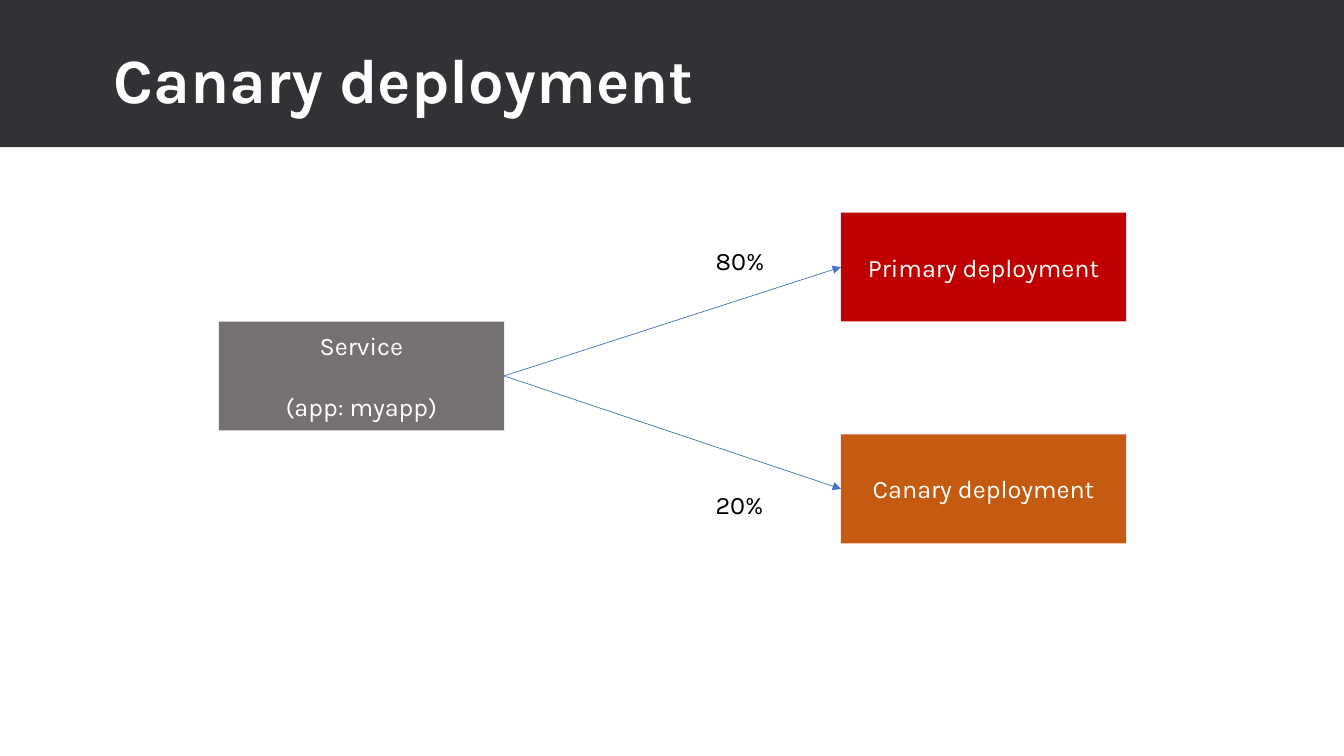
from dataclasses import dataclass

from lxml import etree
from pptx import Presentation
from pptx.dml.color import RGBColor
from pptx.enum.shapes import MSO_CONNECTOR, MSO_SHAPE
from pptx.enum.text import MSO_ANCHOR, PP_ALIGN
from pptx.oxml.ns import qn
from pptx.shapes.autoshape import Shape
from pptx.slide import Slide
from pptx.text.text import TextFrame
from pptx.util import Emu, Inches, Pt

RECTANGLE = MSO_SHAPE.RECTANGLE
STRAIGHT = MSO_CONNECTOR.STRAIGHT
MIDDLE, TOP = MSO_ANCHOR.MIDDLE, MSO_ANCHOR.TOP
CENTER, LEFT = PP_ALIGN.CENTER, PP_ALIGN.LEFT

FONT = "Karla"
WHITE = RGBColor(0xFF, 0xFF, 0xFF)
BLACK = RGBColor(0x00, 0x00, 0x00)
CHARCOAL = RGBColor(0x31, 0x32, 0x35)
GRAY = RGBColor(0x76, 0x71, 0x71)
RED = RGBColor(0xC0, 0x00, 0x00)
ORANGE = RGBColor(0xC5, 0x5A, 0x11)
BLUE = RGBColor(0x44, 0x72, 0xC4)

SLIDE_WIDTH, SLIDE_HEIGHT = Inches(13.33), Inches(7.5)
LEFT_SITE, RIGHT_SITE = 1, 3

# Areas are percentages of the slide's width and height.
NODE_WIDTH, NODE_HEIGHT = 21.23, 14.4
DEPLOYMENT_LEFT = 62.57
LABEL_LEFT, LABEL_WIDTH, LABEL_HEIGHT = 52.51, 6.6, 5.33


@dataclass(frozen=True)
class Area:
    left: float
    top: float
    width: float
    height: float

    def to_emu(self) -> tuple[Emu, Emu, Emu, Emu]:
        return (
            Emu(round(SLIDE_WIDTH * self.left / 100)),
            Emu(round(SLIDE_HEIGHT * self.top / 100)),
            Emu(round(SLIDE_WIDTH * self.width / 100)),
            Emu(round(SLIDE_HEIGHT * self.height / 100)),
        )


@dataclass(frozen=True)
class Node:
    text: str
    left: float
    top: float
    color: RGBColor


@dataclass(frozen=True)
class Route:
    target: Node
    share: str
    label_top: float


SERVICE = Node("Service\n(app: myapp)", 16.28, 42.53, GRAY)
ROUTES = (
    Route(Node("Primary deployment", DEPLOYMENT_LEFT, 28.13, RED), "80%", 31.73),
    Route(Node("Canary deployment", DEPLOYMENT_LEFT, 57.47, ORANGE), "20%", 64.13),
)


def write_text(frame: TextFrame, text: str, color: RGBColor, size: float = 18,
               bold: bool = False, align: PP_ALIGN = LEFT,
               anchor: MSO_ANCHOR = TOP) -> None:
    frame.word_wrap = True
    frame.vertical_anchor = anchor
    frame.text = text
    for index, paragraph in enumerate(frame.paragraphs):
        paragraph.alignment = align
        if index:
            paragraph.space_before = Pt(22)
        for run in paragraph.runs:
            run.font.name = FONT
            run.font.size = Pt(size)
            run.font.bold = bold
            run.font.color.rgb = color


def add_rectangle(slide: Slide, area: Area, color: RGBColor) -> Shape:
    shape = slide.shapes.add_shape(RECTANGLE, *area.to_emu())
    shape.shadow.inherit = False
    shape.fill.solid()
    shape.fill.fore_color.rgb = color
    shape.line.fill.background()
    return shape


def add_title(slide: Slide, text: str) -> None:
    add_rectangle(slide, Area(0, 0, 100, 19.47), CHARCOAL)
    box = slide.shapes.add_textbox(*Area(7.73, 1.33, 84.62, 19.33).to_emu())
    write_text(box.text_frame, text, WHITE, size=45, bold=True, anchor=MIDDLE)
    box.text_frame.paragraphs[0].line_spacing = 0.9


def add_node(slide: Slide, node: Node) -> Shape:
    area = Area(node.left, node.top, NODE_WIDTH, NODE_HEIGHT)
    shape = add_rectangle(slide, area, node.color)
    write_text(shape.text_frame, node.text, WHITE, align=CENTER, anchor=MIDDLE)
    return shape


def add_arrow(slide: Slide, source: Shape, target: Shape) -> None:
    arrow = slide.shapes.add_connector(STRAIGHT, 0, 0, 0, 0)
    arrow.begin_connect(source, RIGHT_SITE)
    arrow.end_connect(target, LEFT_SITE)
    arrow.line.color.rgb = BLUE
    arrow.line.width = Pt(0.5)
    line = arrow.line._get_or_add_ln()
    etree.SubElement(line, qn("a:tailEnd"), type="triangle")
    etree.SubElement(arrow._element.spPr, qn("a:effectLst"))


def add_share_label(slide: Slide, route: Route) -> None:
    area = Area(LABEL_LEFT, route.label_top, LABEL_WIDTH, LABEL_HEIGHT)
    box = slide.shapes.add_textbox(*area.to_emu())
    write_text(box.text_frame, route.share, BLACK)


def main() -> None:
    presentation = Presentation()
    presentation.slide_width = SLIDE_WIDTH
    presentation.slide_height = SLIDE_HEIGHT
    slide = presentation.slides.add_slide(presentation.slide_layouts[6])

    add_title(slide, "Canary deployment")
    service = add_node(slide, SERVICE)
    for route in ROUTES:
        deployment = add_node(slide, route.target)
        add_arrow(slide, service, deployment)
        add_share_label(slide, route)

    presentation.save("out.pptx")


if __name__ == "__main__":
    main()
